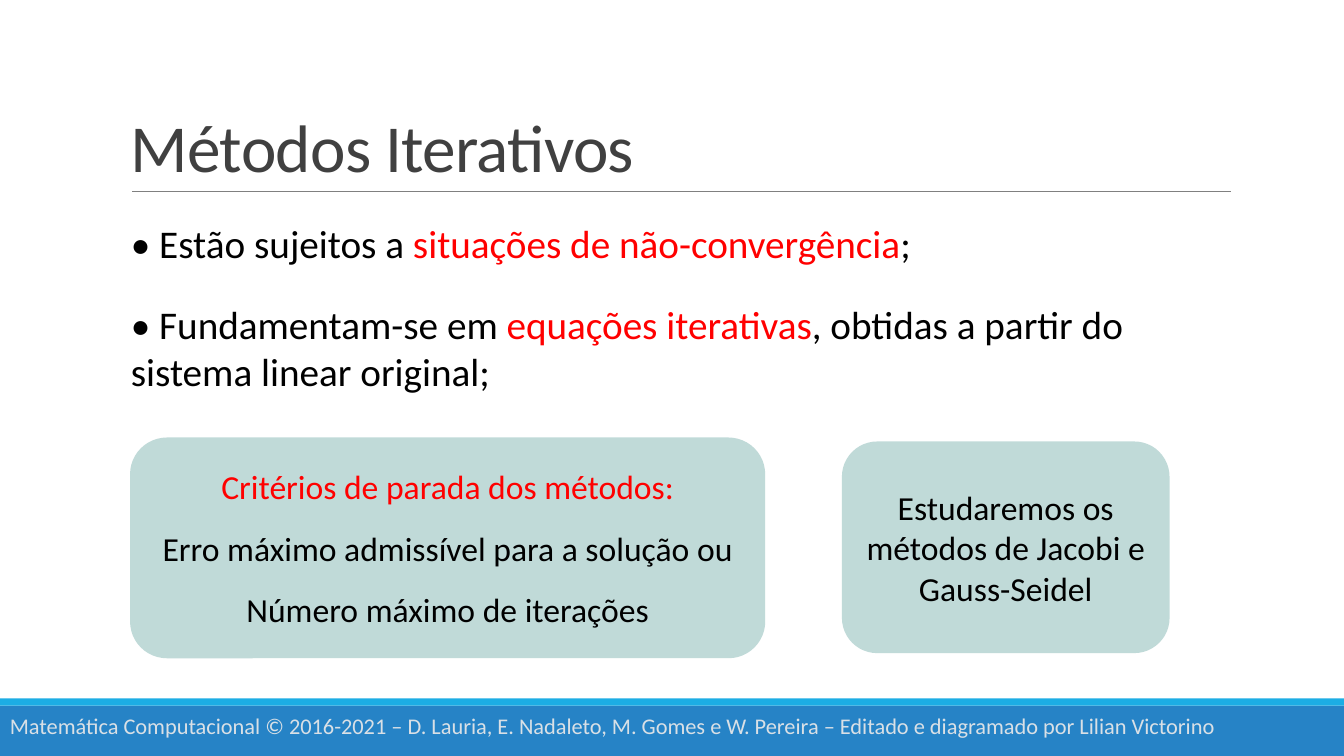
from lxml import etree
from pptx import Presentation
from pptx.dml.color import RGBColor
from pptx.enum import shapes, text
from pptx.oxml import ns
from pptx.util import Inches, Pt

BLACK = RGBColor(0x00, 0x00, 0x00)
RED = RGBColor(0xFF, 0x00, 0x00)
TITLE_GRAY = RGBColor(0x40, 0x40, 0x40)
RULE_GRAY = RGBColor(0x80, 0x80, 0x80)
FOOTER_GRAY = RGBColor(0xD9, 0xE0, 0xE6)
BLUE = RGBColor(0x26, 0x83, 0xC6)
LIGHT_BLUE = RGBColor(0x1C, 0xAD, 0xE4)
TEAL = RGBColor(0x62, 0xA3, 0x9F)

WIDTH, HEIGHT = 13.33, 7.5
FONT = "Calibri"
BARS = [((0, 7, WIDTH, 0.5), BLUE), ((0, 6.93, WIDTH, 0.07), LIGHT_BLUE)]
TITLE = [[("Métodos Iterativos", TITLE_GRAY)]]
POINTS = [
    ((1.2, 2.13, 11, 0.57), [[
        ("• Estão sujeitos a ", BLACK),
        ("situações de não-convergência", RED),
        (";", BLACK)]]),
    ((1.2, 2.93, 11, 1.04), [[
        ("• Fundamentam-se em ", BLACK),
        ("equações iterativas", RED),
        (", obtidas a partir do sistema linear original;", BLACK)]]),
]
CARDS = [
    ((1.29, 4.34, 6.3, 2.19), [
        [("Critérios de parada dos métodos:", RED)],
        [("Erro máximo admissível para a solução ou", BLACK)],
        [("Número máximo de iterações", BLACK)]]),
    ((8.35, 4.38, 3.25, 2.1), [
        [("Estudaremos os métodos de Jacobi e Gauss-Seidel", BLACK)]]),
]
FOOTER = [[("Matemática Computacional © 2016-2021 – D. Lauria, E. Nadaleto, "
            "M. Gomes e W. Pereira – Editado e diagramado por Lilian Victorino",
            FOOTER_GRAY)]]


def write(shape, paragraphs, size, align=text.PP_ALIGN.LEFT,
          anchor=text.MSO_ANCHOR.TOP, gap=0):
    frame = shape.text_frame
    frame.word_wrap = True
    frame.vertical_anchor = anchor
    for index, pieces in enumerate(paragraphs):
        paragraph = frame.add_paragraph() if index else frame.paragraphs[0]
        paragraph.alignment = align
        if index:
            paragraph.space_before = Pt(gap)
        for wording, color in pieces:
            run = paragraph.add_run()
            run.text = wording
            run.font.name = FONT
            run.font.size = Pt(size)
            run.font.color.rgb = color
    return frame


def add_text(slide, box, paragraphs, size, **options):
    shape = slide.shapes.add_textbox(*map(Inches, box))
    return write(shape, paragraphs, size, **options)


def add_block(slide, kind, box, color):
    shape = slide.shapes.add_shape(kind, *map(Inches, box))
    shape.shadow.inherit = False
    shape.fill.solid()
    shape.fill.fore_color.rgb = color
    shape.line.fill.background()
    return shape


def set_opacity(shape, percent):
    color = shape.fill._xPr.find(ns.qn("a:solidFill"))[0]
    etree.SubElement(color, ns.qn("a:alpha")).set("val", str(percent * 1000))


def main():
    presentation = Presentation()
    presentation.slide_width = Inches(WIDTH)
    presentation.slide_height = Inches(HEIGHT)
    slide = presentation.slides.add_slide(presentation.slide_layouts[6])

    for box, color in BARS:
        add_block(slide, shapes.MSO_SHAPE.RECTANGLE, box, color)

    rule = slide.shapes.add_connector(
        shapes.MSO_CONNECTOR.STRAIGHT, *map(Inches, (1.31, 1.9, 12.21, 1.9)))
    rule.line.color.rgb = RULE_GRAY
    rule.line.width = Pt(0.5)
    etree.SubElement(rule._element.spPr, ns.qn("a:effectLst"))

    title = add_text(slide, (1.2, 0.31, 11, 1.59), TITLE, 48,
                     anchor=text.MSO_ANCHOR.BOTTOM).paragraphs[0]
    title.line_spacing = 0.85
    title.runs[0].font._element.set("spc", "-50")

    for box, paragraphs in POINTS:
        add_text(slide, box, paragraphs, 28)

    for box, paragraphs in CARDS:
        card = add_block(slide, shapes.MSO_SHAPE.ROUNDED_RECTANGLE, box, TEAL)
        set_opacity(card, 40)
        write(card, paragraphs, 24, align=text.PP_ALIGN.CENTER,
              anchor=text.MSO_ANCHOR.MIDDLE, gap=15)

    add_text(slide, (0, 7.02, 13.07, 0.37), FOOTER, 16)
    presentation.save("out.pptx")


if __name__ == "__main__":
    main()
